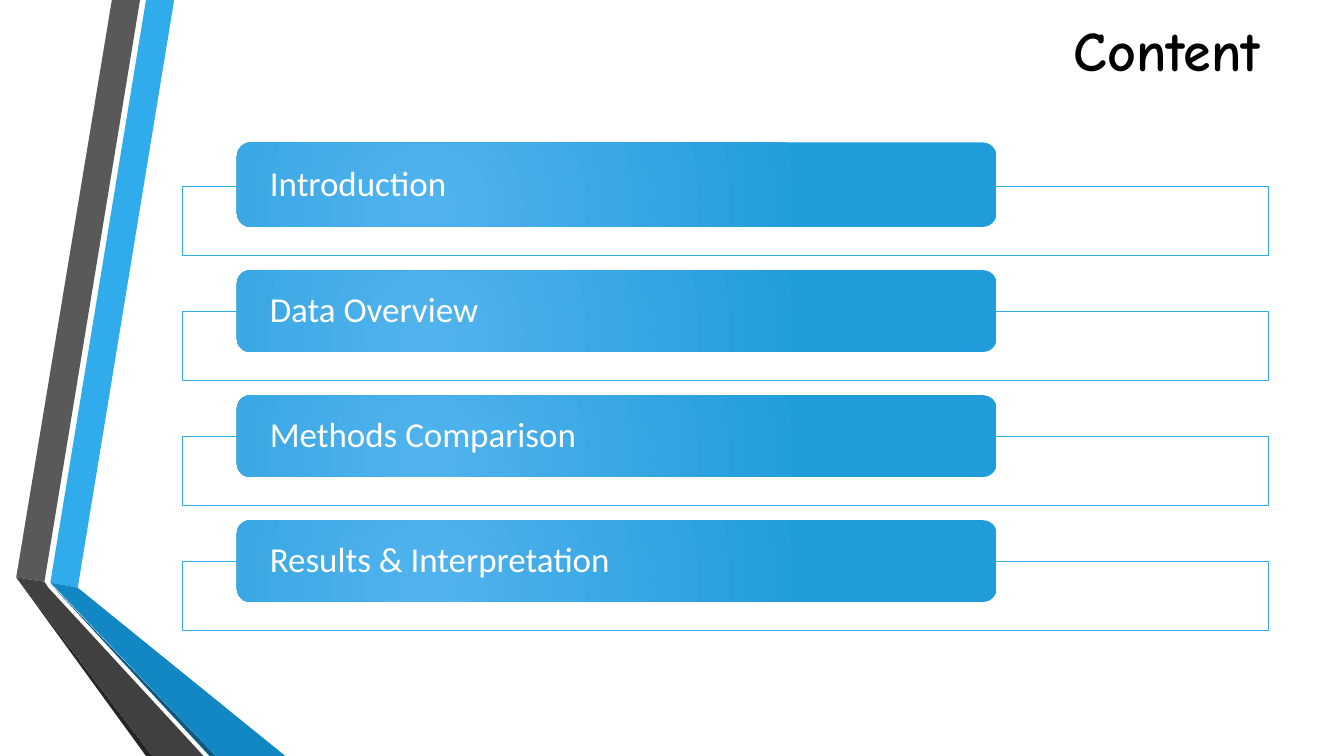
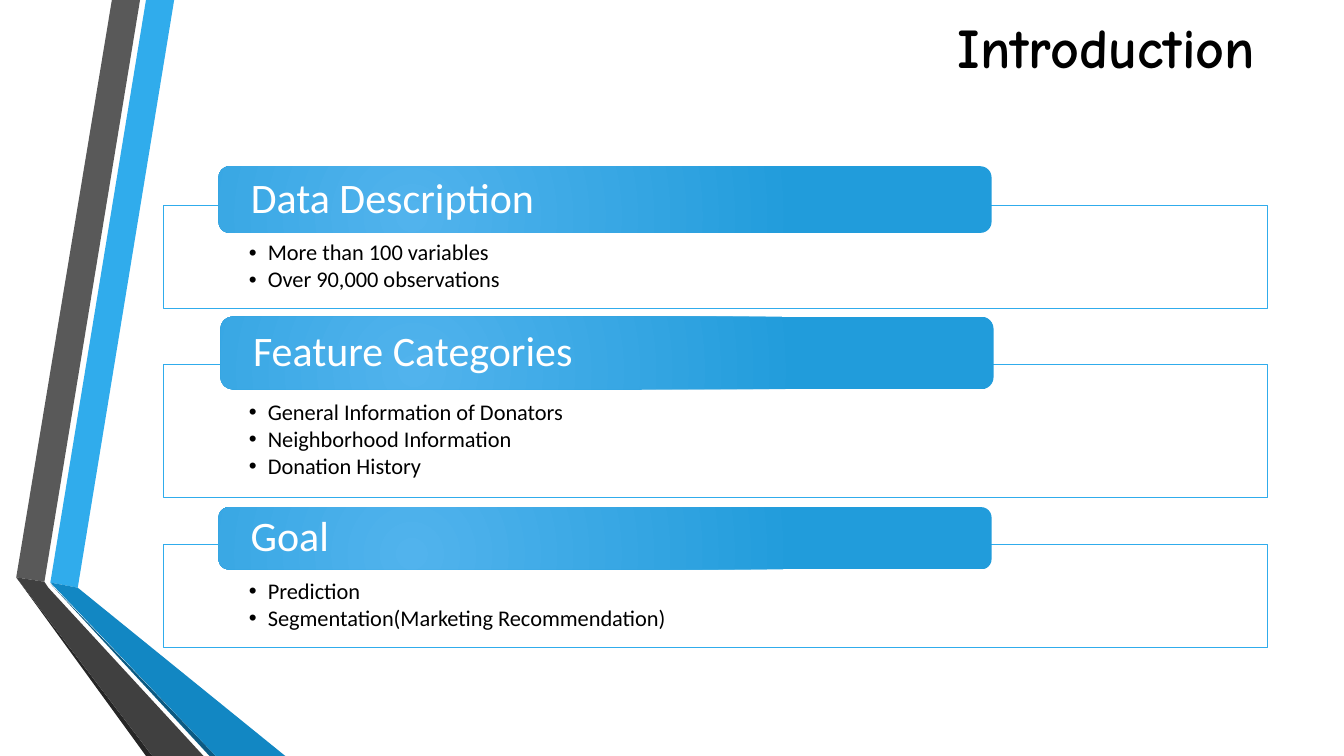
from lxml import etree
from pptx import Presentation
from pptx.dml.color import RGBColor
from pptx.enum.shapes import MSO_SHAPE
from pptx.enum.text import MSO_ANCHOR, PP_ALIGN
from pptx.oxml.ns import qn
from pptx.util import Cm, Pt

RECT, ROUNDED = MSO_SHAPE.RECTANGLE, MSO_SHAPE.ROUNDED_RECTANGLE
TOP, MIDDLE = MSO_ANCHOR.TOP, MSO_ANCHOR.MIDDLE
LEFT, CENTER = PP_ALIGN.LEFT, PP_ALIGN.CENTER

COLORS = {
    "sky": "30ACEC", "blue": "1287C3", "navy": "0C5A82",
    "gray": "595959", "charcoal": "404040", "soot": "262626",
    "bar_light": "51B3ED", "bar_deep": "219CDB",
    "white": "FFFFFF", "black": "000000",
}
RGB = {name: RGBColor.from_string(value) for name, value in COLORS.items()}
BODY_FONT, TITLE_FONT = "Calibri", "Comic Neue"

# Folded ribbons at the left edge, points in hundredths of a centimetre
RIBBONS = [
    ("sky", [(127, 1468), (196, 1481), (439, 0), (368, 0)]),
    ("gray", [(353, 0), (282, 0), (41, 1455), (112, 1466)]),
    ("soot", [(41, 1455), (368, 1905), (384, 1905)]),
    ("navy", [(127, 1471), (528, 1905), (544, 1905)]),
    ("blue", [(127, 1468), (544, 1905), (719, 1905), (196, 1481)]),
    ("charcoal", [(513, 1905), (122, 1481), (112, 1466), (41, 1455), (384, 1905)]),
]

# Sections: heading, bullets, panel (top, height), bar (left, top, height)
PITCH = 3.15
agenda = ["Introduction", "Data Overview", "Methods Comparison", "Results & Interpretation"]
agenda_sections = []
for i, heading in enumerate(agenda):
    panel_top = 4.7 + i * PITCH
    bar_height = 2.06 if i else 2.13
    bar_top = panel_top + 1.02 - bar_height
    agenda_sections.append((heading, [], (panel_top, 1.75), (5.97, bar_top, bar_height)))

intro_sections = [
    ("Data Description", ["More than 100 variables", "Over 90,000 observations"],
     (5.18, 2.59), (5.51, 4.19, 1.68)),
    ("Feature Categories",
     ["General Information of Donators", "Neighborhood Information", "Donation History"],
     (9.19, 3.35), (5.56, 7.98, 1.83)),
    ("Goal", ["Prediction", "Segmentation(Marketing Recommendation)"],
     (13.72, 2.59), (5.51, 12.78, 1.57)),
]

SLIDES = [
    {"title": "Content", "title_center": 29.41, "title_height": 2.46,
     "panel": (4.6, 27.36), "bar_width": 19.15, "size": 25, "sections": agenda_sections},
    {"title": "Introduction", "title_center": 27.88, "title_height": 2.34,
     "panel": (4.11, 27.84), "bar_width": 19.48, "size": 30, "sections": intro_sections},
]


def write_text(shape, lines, size, color="black", font=BODY_FONT, bold=False,
               align=LEFT, anchor=MIDDLE, side=0, top=0, spacing=0.9, after=0, bullet=False):
    frame = shape.text_frame
    frame.word_wrap = True
    frame.vertical_anchor = anchor
    frame.margin_left = frame.margin_right = Cm(side)
    frame.margin_top, frame.margin_bottom = Cm(top), Cm(0)
    for i, line in enumerate(lines):
        paragraph = frame.add_paragraph() if i else frame.paragraphs[0]
        paragraph.alignment = align
        paragraph.line_spacing = spacing
        paragraph.space_after = Pt(after)
        run = paragraph.add_run()
        run.text = line
        run.font.name, run.font.size, run.font.bold = font, Pt(size), bold
        run.font.color.rgb = RGB[color]
        if bullet:
            properties = paragraph._p.get_or_add_pPr()
            properties.set("marL", str(Cm(0.48)))
            properties.set("indent", str(-Cm(0.48)))
            etree.SubElement(properties, qn("a:buFont"), typeface="Arial")
            etree.SubElement(properties, qn("a:buChar"), char="•")


prs = Presentation()
prs.slide_width, prs.slide_height = Cm(33.87), Cm(19.05)

for content in SLIDES:
    slide = prs.slides.add_slide(prs.slide_layouts[6])
    shapes = slide.shapes

    # Ribbons
    for color, (start, *points) in RIBBONS:
        builder = shapes.build_freeform(*start, scale=Cm(0.01))
        builder.add_line_segments(points, close=True)
        ribbon = builder.convert_to_shape()
        ribbon.shadow.inherit = False
        ribbon.fill.solid()
        ribbon.fill.fore_color.rgb = RGB[color]
        ribbon.line.fill.background()

    # Title
    title = shapes.add_textbox(Cm(content["title_center"] - 3.9), Cm(0),
                               Cm(7.8), Cm(content["title_height"]))
    write_text(title, [content["title"]], 40, font=TITLE_FONT, bold=True,
               align=CENTER, spacing=1.0)

    panel_left, panel_width = content["panel"]
    for heading, bullets, (panel_top, panel_height), (bar_left, bar_top, bar_height) in content["sections"]:
        # Outlined panel with its bullets
        panel = shapes.add_shape(RECT, Cm(panel_left), Cm(panel_top),
                                 Cm(panel_width), Cm(panel_height))
        panel.shadow.inherit = False
        panel.fill.solid()
        panel.fill.fore_color.rgb = RGB["white"]
        white = panel._element.spPr.find(qn("a:solidFill"))[0]
        etree.SubElement(white, qn("a:alpha"), val="90000")
        panel.line.color.rgb = RGB["sky"]
        panel.line.width = Pt(0.75)
        write_text(panel, bullets, 16, anchor=TOP, side=2.16, top=0.91, after=2, bullet=True)

        # Heading bar with a radial gradient
        bar = shapes.add_shape(ROUNDED, Cm(bar_left), Cm(bar_top),
                               Cm(content["bar_width"]), Cm(bar_height))
        bar.shadow.inherit = False
        bar.line.fill.background()
        bar.fill.gradient()
        for stop, color in zip(bar.fill.gradient_stops, ("bar_light", "bar_deep")):
            stop.color.rgb = RGB[color]
        gradient = bar._element.spPr.find(qn("a:gradFill"))
        gradient.remove(gradient.find(qn("a:lin")))
        radial = etree.SubElement(gradient, qn("a:path"), path="circle")
        etree.SubElement(radial, qn("a:fillToRect"), l="50000", t="100000", r="100000", b="50000")
        write_text(bar, [heading], content["size"], color="white", side=0.73)

prs.save("out.pptx")
